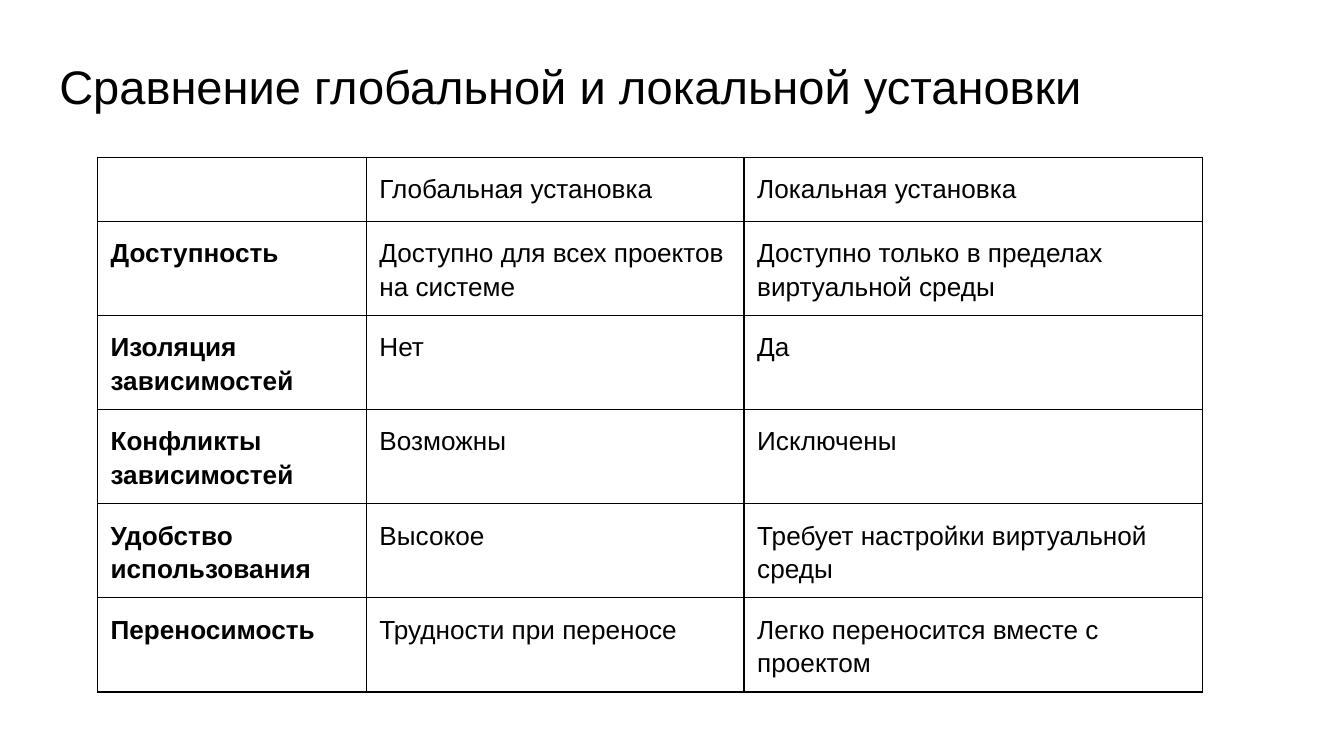
import dataclasses

import lxml.etree
import pptx
import pptx.dml.color
import pptx.enum.text
import pptx.oxml.ns
import pptx.util
from pptx.util import Cm


@dataclasses.dataclass(frozen=True)
class Theme:
    ink: str = "000000"
    paper: str = "FFFFFF"
    font: str = "Arial"
    title_size: float = 25.2
    cell_size: float = 14
    border: float = 0.75
    inset: float = 0.25  # cm


THEME = Theme()

TITLE = "Сравнение глобальной и локальной установки"
ROWS = [
    ("", "Глобальная установка", "Локальная установка"),
    ("Доступность", "Доступно для всех проектов на системе",
     "Доступно только в пределах виртуальной среды"),
    ("Изоляция зависимостей", "Нет", "Да"),
    ("Конфликты зависимостей", "Возможны", "Исключены"),
    ("Удобство использования", "Высокое", "Требует настройки виртуальной среды"),
    ("Переносимость", "Трудности при переносе", "Легко переносится вместе с проектом"),
]
COL_WIDTHS = (5.08, 7.14, 8.66)
HEADER_HEIGHT, ROW_HEIGHT = 1.21, 1.78


def rgb(value):
    return pptx.dml.color.RGBColor.from_string(value)


def write_text(tf, text, size=THEME.cell_size, bold=False, spacing=1.0):
    """Fill a text frame with one formatted, left-aligned paragraph."""
    tf.word_wrap = True
    tf.margin_left = tf.margin_right = Cm(THEME.inset)
    tf.margin_top = tf.margin_bottom = Cm(THEME.inset)
    p = tf.paragraphs[0]
    p.alignment = pptx.enum.text.PP_ALIGN.LEFT
    p.line_spacing = spacing
    p.font.size = pptx.util.Pt(size)
    if text:
        r = p.add_run()
        r.text = text
        r.font.name = THEME.font
        r.font.size = pptx.util.Pt(size)
        r.font.bold = bold
        r.font.color.rgb = rgb(THEME.ink)


def add_borders(cell):
    """Draw all four sides; the line elements must precede the fill."""
    tcPr = cell._tc.get_or_add_tcPr()
    qn = pptx.oxml.ns.qn
    for i, side in enumerate(("lnL", "lnR", "lnT", "lnB")):
        ln = lxml.etree.Element(qn(f"a:{side}"), w=str(pptx.util.Pt(THEME.border)))
        fill = lxml.etree.SubElement(ln, qn("a:solidFill"))
        lxml.etree.SubElement(fill, qn("a:srgbClr"), val=THEME.ink)
        tcPr.insert(i, ln)


def set_title(s, text):
    sp = s.shapes.title
    sp.left, sp.top, sp.width, sp.height = Cm(0.87), Cm(0.81), Cm(23.67), Cm(1.6)
    tf = sp.text_frame
    tf.auto_size = pptx.enum.text.MSO_AUTO_SIZE.NONE
    tf.vertical_anchor = pptx.enum.text.MSO_ANCHOR.BOTTOM
    write_text(tf, text, size=THEME.title_size)


def add_comparison_table(s):
    height = HEADER_HEIGHT + ROW_HEIGHT * (len(ROWS) - 1)
    table = s.shapes.add_table(len(ROWS), len(COL_WIDTHS), Cm(1.84), Cm(2.97),
                               Cm(sum(COL_WIDTHS)), Cm(height)).table
    table.first_row = table.horz_banding = False
    for column, width in zip(table.columns, COL_WIDTHS):
        column.width = Cm(width)
    for i, texts in enumerate(ROWS):
        table.rows[i].height = Cm(ROW_HEIGHT if i else HEADER_HEIGHT)
        for j, text in enumerate(texts):
            cell = table.cell(i, j)
            write_text(cell.text_frame, text, bold=j == 0, spacing=1.15)
            # Cell insets belong to the cell, not to its text frame
            cell.margin_left = cell.margin_right = Cm(THEME.inset)
            cell.margin_top = cell.margin_bottom = Cm(THEME.inset)
            cell.fill.background()
            add_borders(cell)


def main():
    prs = pptx.Presentation()
    prs.slide_width, prs.slide_height = Cm(25.4), Cm(14.29)
    s = prs.slides.add_slide(prs.slide_layouts.get_by_name("Title Only"))

    # Background
    s.background.fill.solid()
    s.background.fill.fore_color.rgb = rgb(THEME.paper)

    # Content
    set_title(s, TITLE)
    add_comparison_table(s)
    prs.save("out.pptx")


if __name__ == "__main__":
    main()
